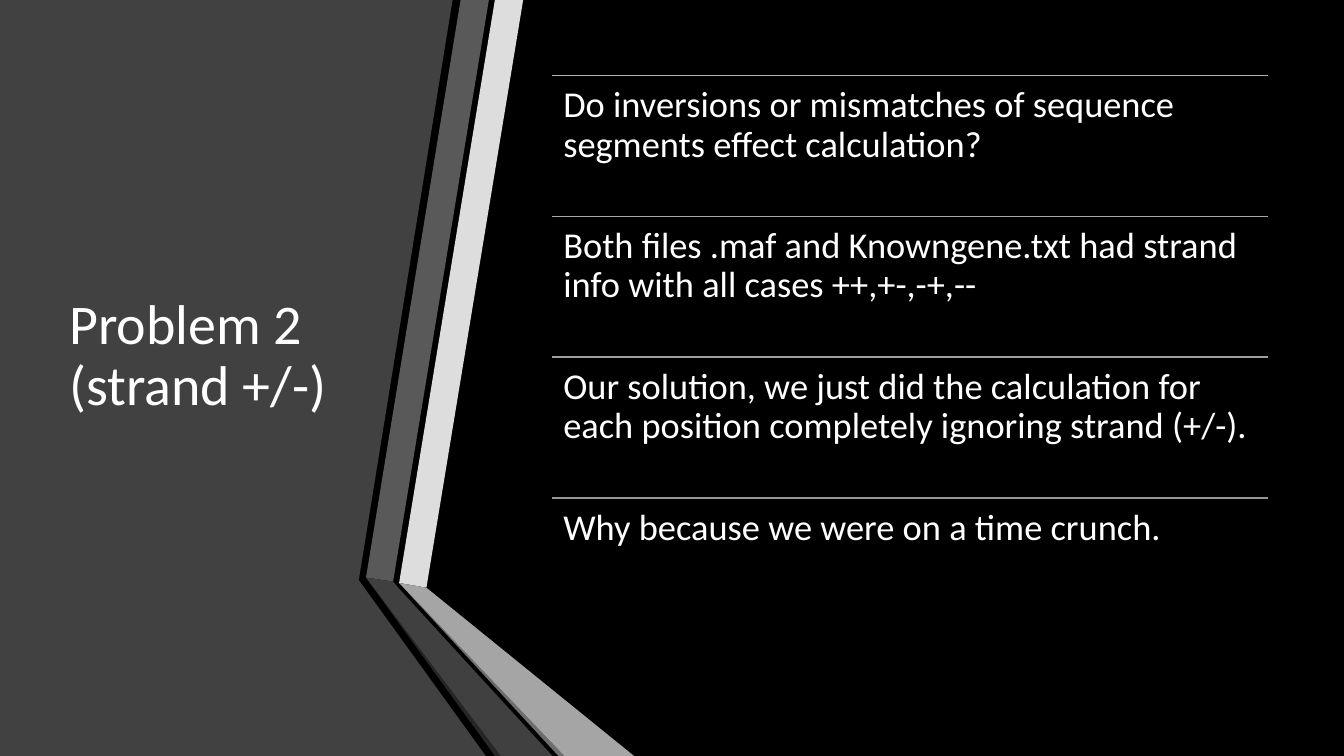
from dataclasses import dataclass

from lxml import etree
from pptx import Presentation
from pptx.dml.color import RGBColor
from pptx.enum import shapes, text
from pptx.oxml import ns
from pptx.slide import Slide
from pptx.util import Pt


@dataclass(frozen=True)
class Theme:
    font: str = "Calibri"
    title_size: float = 40
    point_size: float = 26
    line_spacing: float = 0.9
    rule_width: float = 1
    background: str = "000000"
    ink: str = "FFFFFF"
    panel: str = "414141"
    light_upper: str = "DDDDDD"
    light_lower: str = "A5A5A5"
    light_edge: str = "6E6E6E"
    dark_upper: str = "595959"
    dark_lower: str = "404040"
    dark_edge: str = "262626"


@dataclass(frozen=True)
class Facet:
    color: str
    corners: tuple[tuple[float, float], ...]


@dataclass(frozen=True)
class Box:
    left: float
    top: float
    width: float
    height: float


@dataclass(frozen=True)
class Point:
    wording: str
    rule_color: str


THEME = Theme()
WIDTH, HEIGHT = 960, 540

DARK_BEND = (261.4, 412.6)
DARK_INNER = (280.8, 415.4)
LIGHT_BEND = (285.1, 416.4)
LIGHT_INNER = (304.6, 419.8)
DARK_FOOT = (357.8, HEIGHT)
LIGHT_FOOT = (403.2, HEIGHT)

FACETS = (
    Facet(THEME.panel, ((0, 0), (323.3, 0), (256.3, 414.4), (347, HEIGHT), (0, HEIGHT))),
    Facet(THEME.light_upper, (LIGHT_BEND, LIGHT_INNER, (373.7, 0), (353.5, 0))),
    Facet(THEME.dark_upper, ((349.2, 0), (329, 0), DARK_BEND, DARK_INNER)),
    Facet(THEME.dark_edge, (DARK_BEND, (353.5, HEIGHT), DARK_FOOT)),
    Facet(THEME.light_edge, (LIGHT_BEND, (398.9, HEIGHT), LIGHT_FOOT)),
    Facet(THEME.light_lower, (LIGHT_BEND, LIGHT_FOOT, (452.9, HEIGHT), LIGHT_INNER)),
    Facet(THEME.dark_lower, ((394.6, HEIGHT), (284.4, 419.8), DARK_INNER, DARK_BEND, DARK_FOOT)),
)

TITLE = "Problem 2 (strand +/-)"
TITLE_BOX = Box(42.5, 54, 218.9, 401.8)

POINTS = (
    Point("Do inversions or mismatches of sequence segments effect calculation?", "B2B2B2"),
    Point("Both files .maf and Knowngene.txt had strand info with all cases ++,+-,-+,--", "A8A8A8"),
    Point(
        "Our solution, we just did the calculation for each position "
        "completely ignoring strand (+/-).",
        "9F9F9F",
    ),
    Point("Why because we were on a time crunch.", "969696"),
)
POINTS_BOX = Box(394.6, 54, 511.2, 402.2)


def rgb(color: str) -> RGBColor:
    return RGBColor.from_string(color)


def draw_facet(slide: Slide, facet: Facet) -> None:
    start, *others = [(Pt(x), Pt(y)) for x, y in facet.corners]
    outline = slide.shapes.build_freeform(*start)
    outline.add_line_segments(others)
    face = outline.convert_to_shape()
    face.shadow.inherit = False
    face.fill.solid()
    face.fill.fore_color.rgb = rgb(facet.color)
    face.line.fill.background()


def draw_text(
    slide: Slide,
    wording: str,
    box: Box,
    size: float,
    insets: tuple[float, float],
    anchor: text.MSO_ANCHOR,
) -> None:
    frame = slide.shapes.add_textbox(
        Pt(box.left), Pt(box.top), Pt(box.width), Pt(box.height)
    ).text_frame
    frame.word_wrap = True
    frame.vertical_anchor = anchor
    frame.margin_left = frame.margin_right = Pt(insets[0])
    frame.margin_top = frame.margin_bottom = Pt(insets[1])
    paragraph = frame.paragraphs[0]
    paragraph.text = wording
    paragraph.line_spacing = THEME.line_spacing
    paragraph.font.name = THEME.font
    paragraph.font.size = Pt(size)
    paragraph.font.color.rgb = rgb(THEME.ink)


def draw_rule(slide: Slide, box: Box, color: str) -> None:
    rule = slide.shapes.add_connector(
        shapes.MSO_CONNECTOR.STRAIGHT,
        Pt(box.left), Pt(box.top), Pt(box.left + box.width), Pt(box.top),
    )
    rule.line.color.rgb = rgb(color)
    rule.line.width = Pt(THEME.rule_width)
    etree.SubElement(rule._element.spPr, ns.qn("a:effectLst"))


def draw_points(slide: Slide, points: tuple[Point, ...], area: Box) -> None:
    pitch = area.height / len(points)
    for index, point in enumerate(points):
        row = Box(area.left, area.top + index * pitch, area.width, pitch)
        draw_rule(slide, row, point.rule_color)
        draw_text(slide, point.wording, row, THEME.point_size, (7.8, 7.8), text.MSO_ANCHOR.TOP)


def main() -> None:
    deck = Presentation()
    deck.slide_width, deck.slide_height = Pt(WIDTH), Pt(HEIGHT)
    slide = deck.slides.add_slide(deck.slide_layouts[6])
    slide.background.fill.solid()
    slide.background.fill.fore_color.rgb = rgb(THEME.background)
    for facet in FACETS:
        draw_facet(slide, facet)
    draw_text(slide, TITLE, TITLE_BOX, THEME.title_size, (7.2, 3.6), text.MSO_ANCHOR.MIDDLE)
    draw_points(slide, POINTS, POINTS_BOX)
    deck.save("out.pptx")


if __name__ == "__main__":
    main()
